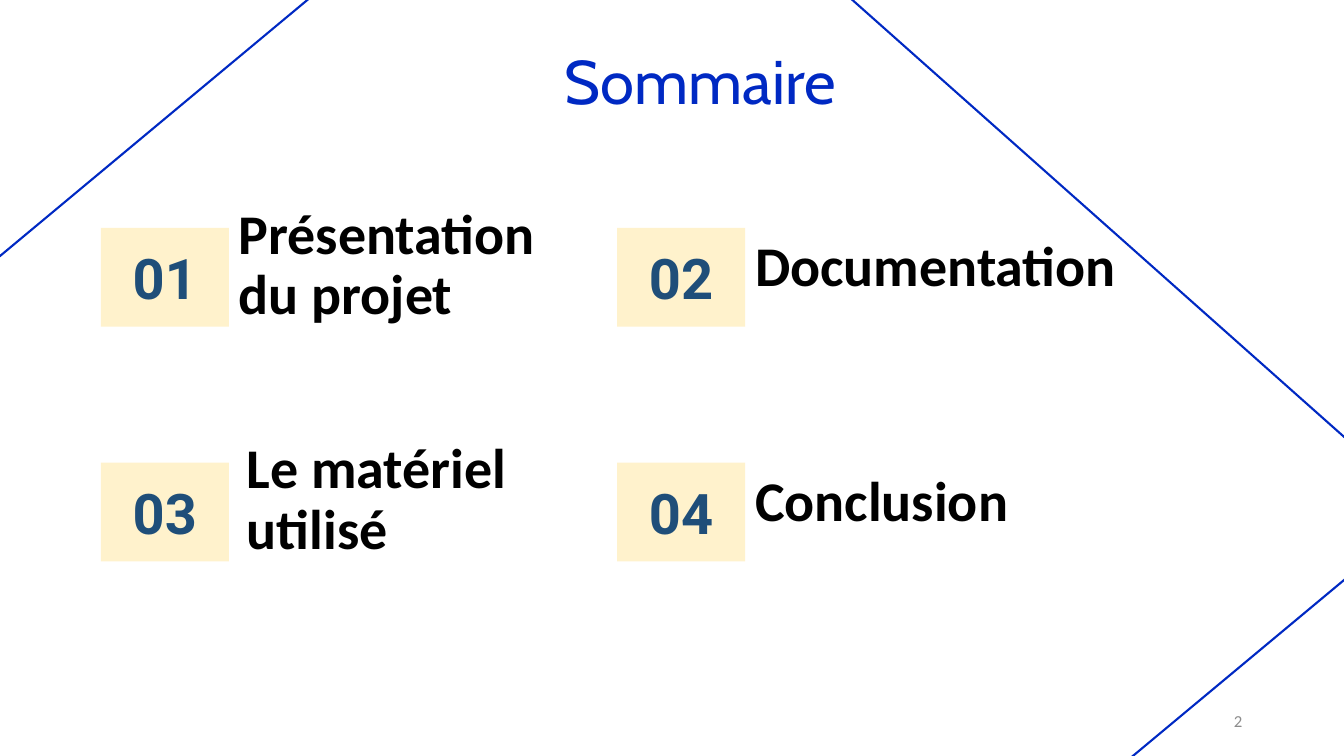
import pptx
import pptx.util
from pptx.dml.color import RGBColor
from pptx.enum.shapes import MSO_CONNECTOR, MSO_SHAPE
from pptx.enum.text import MSO_ANCHOR, PP_ALIGN
from pptx.oxml.ns import qn
from lxml import etree

PX = 9144  # EMU per px, 100 px to the inch

WHITE = RGBColor(0xFF, 0xFF, 0xFF)
BLACK = RGBColor(0x00, 0x00, 0x00)
BLUE = RGBColor(0x00, 0x29, 0xC3)
NAVY = RGBColor(0x1F, 0x4E, 0x79)
CREAM = RGBColor(0xFF, 0xF2, 0xCC)
GRAY = RGBColor(0x8C, 0x8C, 0x8C)

LEFT, TOP = 100, 226
STEP_X, STEP_Y = 512, 233
TILE_W, TILE_H = 127, 98

# text, shift from the tile's right edge, shift from its top, width
TOPICS = [
    ("Présentation du projet", 0, -32, 335),
    ("Documentation", 0, 0, 385),
    ("Le matériel utilisé", 8, -32, 335),
    ("Conclusion", 0, 0, 335),
]

LINES = [
    (-24, 274, 324, -16),
    (1024, 833, 1372, 543),
    (814, -28, 1372, 468),
]


def px(*values):
    return [pptx.util.Emu(value * PX) for value in values]


def write(shape, text, size, face, color, bold=False,
          align=PP_ALIGN.LEFT, anchor=MSO_ANCHOR.TOP, inset=10):
    frame = shape.text_frame
    frame.word_wrap = True
    frame.vertical_anchor = anchor
    frame.margin_left, frame.margin_right = px(inset, inset)
    frame.margin_top, frame.margin_bottom = px(inset, inset)
    para = frame.paragraphs[0]
    para.text = text
    para.alignment = align
    para.font.size = pptx.util.Pt(size)
    para.font.name = face
    para.font.bold = bold
    para.font.color.rgb = color
    return para


def add_text(slide, box, *args, **style):
    return write(slide.shapes.add_textbox(*px(*box)), *args, **style)


def add_head(slide, box, *args, **style):
    """Add text with the tight leading of titles and topics."""
    para = add_text(slide, box, *args, **style)
    para.line_spacing = 0.9
    para.space_before = pptx.util.Pt(10)


def add_tile(slide, left, top, text):
    tile = slide.shapes.add_shape(
        MSO_SHAPE.RECTANGLE, *px(left, top, TILE_W, TILE_H))
    tile.shadow.inherit = False
    tile.fill.solid()
    tile.fill.fore_color.rgb = CREAM
    tile.line.fill.background()
    write(tile, text, 40, "Roboto", NAVY, bold=True,
          align=PP_ALIGN.CENTER, anchor=MSO_ANCHOR.MIDDLE)


def add_line(slide, ends):
    line = slide.shapes.add_connector(MSO_CONNECTOR.STRAIGHT, *px(*ends))
    line.line.color.rgb = BLUE
    line.line.width = pptx.util.Pt(1.5)
    etree.SubElement(line._element.spPr, qn("a:effectLst"))


def main():
    deck = pptx.Presentation()
    deck.slide_width, deck.slide_height = px(1333, 750)
    slide = deck.slides.add_slide(deck.slide_layouts[6])
    slide.background.fill.solid()
    slide.background.fill.fore_color.rgb = WHITE

    add_text(slide, (942, 695, 300, 40), "2", 12, "Calibri", GRAY,
             align=PP_ALIGN.RIGHT, anchor=MSO_ANCHOR.MIDDLE)
    add_head(slide, (500, 46, 389, 82), "Sommaire", 44, "Cabin", BLUE,
             align=PP_ALIGN.CENTER, inset=5)

    for index, (text, dx, dy, width) in enumerate(TOPICS):
        row, col = divmod(index, 2)
        left, top = LEFT + col * STEP_X, TOP + row * STEP_Y
        add_tile(slide, left, top, f"{index + 1:02}")
        add_head(slide, (left + TILE_W + dx, top + dy, width, 65),
                 text, 40, "Calibri", BLACK, bold=True)

    for ends in LINES:
        add_line(slide, ends)

    deck.save("out.pptx")


if __name__ == "__main__":
    main()
